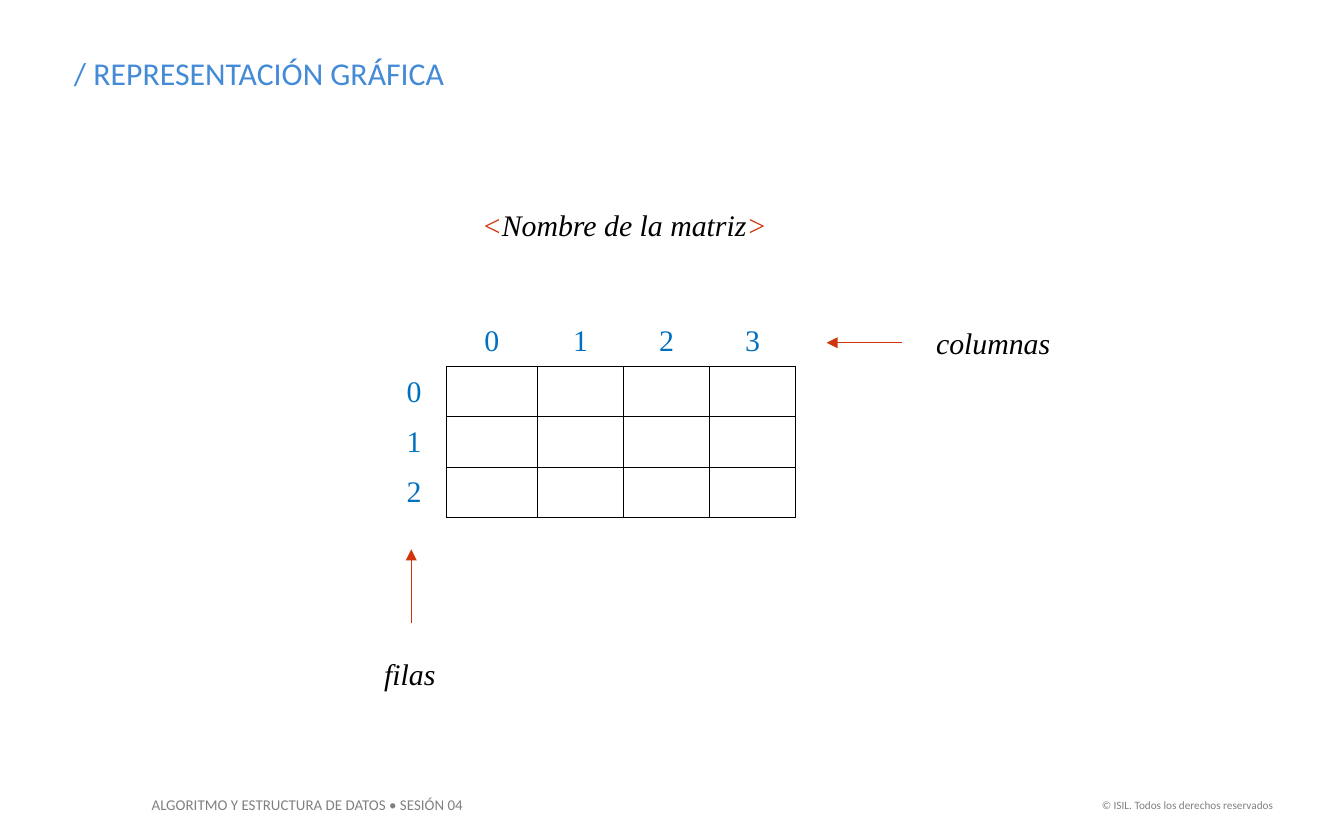
"""Builds the slide that shows a matrix with numbered rows and columns."""
from lxml import etree
from pptx import Presentation, util as u
from pptx.dml.color import RGBColor
from pptx.enum import shapes, text
from pptx.oxml import ns

rgb = RGBColor.from_string
RED, BLUE, BLACK, GREY = "D13409", "0070C0", "000000", "808080"
SERIF = "Times New Roman"


def write(tf, content, size=16, font=SERIF, color=BLACK, italic=False,
          align="CENTER", anchor="TOP", wrap=True):
    """Fill a text frame with a string or a list of (string, colour) runs."""
    tf.word_wrap = wrap
    tf.vertical_anchor = text.MSO_ANCHOR[anchor]
    p = tf.paragraphs[0]
    p.alignment = text.PP_ALIGN[align]
    for words, tint in [(content, color)] if isinstance(content, str) else content:
        r = p.add_run()
        r.text = words
        r.font.size, r.font.name, r.font.italic = u.Pt(size), font, italic
        r.font.color.rgb = rgb(tint)


prs = Presentation()
prs.slide_width, prs.slide_height = u.Inches(10), u.Inches(6.25)
W, H = prs.slide_width, prs.slide_height
s = prs.slides.add_slide(prs.slide_layouts[5])

title = s.shapes.title
title.left, title.top = int(W * 0.045), int(H * 0.056)
title.width, title.height = int(W * 0.788), int(H * 0.062)
write(title.text_frame, "/ REPRESENTACIÓN GRÁFICA", size=17, font="Calibri",
      color="438AD7", align="LEFT")

label = dict(italic=True)
footer = dict(font="Calibri", color=GREY, wrap=False)
name = [("<", RED), ("Nombre de la matriz", BLACK), (">", RED)]
for content, x, y, w, h, style in [
    ("ALGORITMO Y ESTRUCTURA DE DATOS • SESIÓN 04", 0.103, 0.939, 0.258, 0.038,
     dict(footer, size=8, align="LEFT")),
    ("© ISIL. Todos los derechos reservados", 0.807, 0.942, 0.15, 0.032,
     dict(footer, size=6, align="RIGHT")),
    (name, 0.336, 0.238, 0.257, 0.059, label),
    ("columnas", 0.679, 0.379, 0.12, 0.059, label),
    ("filas", 0.265, 0.773, 0.08, 0.059, label),
]:
    sp = s.shapes.add_textbox(int(W * x), int(H * y), int(W * w), int(H * h))
    write(sp.text_frame, content, **style)

ROWS, COLS = 4, 5
widths = [0.48, 0.68] + [0.64] * 3
row_height = u.Inches(0.375)
frame = s.shapes.add_table(ROWS, COLS, int(W * 0.284), int(H * 0.376),
                           u.Inches(sum(widths)), row_height * ROWS)
table = frame.table
table.first_row = table.horz_banding = False
for column, width in zip(table.columns, widths):
    column.width = u.Inches(width)
for row in range(ROWS):
    table.rows[row].height = row_height
    for col in range(COLS):
        cell = table.cell(row, col)
        cell.margin_left = cell.margin_right = cell.margin_top = u.Inches(0.01)
        cell.margin_bottom = 0
        cell.vertical_anchor = text.MSO_ANCHOR.MIDDLE
        inside = row > 0 and col > 0
        edges = {"lnL": inside, "lnR": row > 0, "lnT": inside, "lnB": col > 0}
        for edge, drawn in edges.items():
            ln = etree.SubElement(cell._tc.get_or_add_tcPr(), ns.qn(f"a:{edge}"),
                                  w=str(u.Pt(0.5)))
            fill = etree.SubElement(ln, ns.qn("a:solidFill" if drawn else "a:noFill"))
            if drawn:
                etree.SubElement(fill, ns.qn("a:srgbClr"), val=BLACK)
        cell.fill.background()
        if (row == 0) != (col == 0):
            write(cell.text_frame, str(row + col - 1), color=BLUE, anchor="MIDDLE")

for x1, y1, x2, y2 in [(0.671, 0.408, 0.615, 0.408), (0.306, 0.742, 0.306, 0.654)]:
    arrow = s.shapes.add_connector(shapes.MSO_CONNECTOR.STRAIGHT, int(W * x1),
                                   int(H * y1), int(W * x2), int(H * y2))
    arrow.line.width = u.Pt(0.75)
    arrow.line.color.rgb = rgb(RED)
    etree.SubElement(arrow.line._get_or_add_ln(), ns.qn("a:tailEnd"), type="triangle")
    etree.SubElement(arrow._element.spPr, ns.qn("a:effectLst"))

prs.save("out.pptx")
